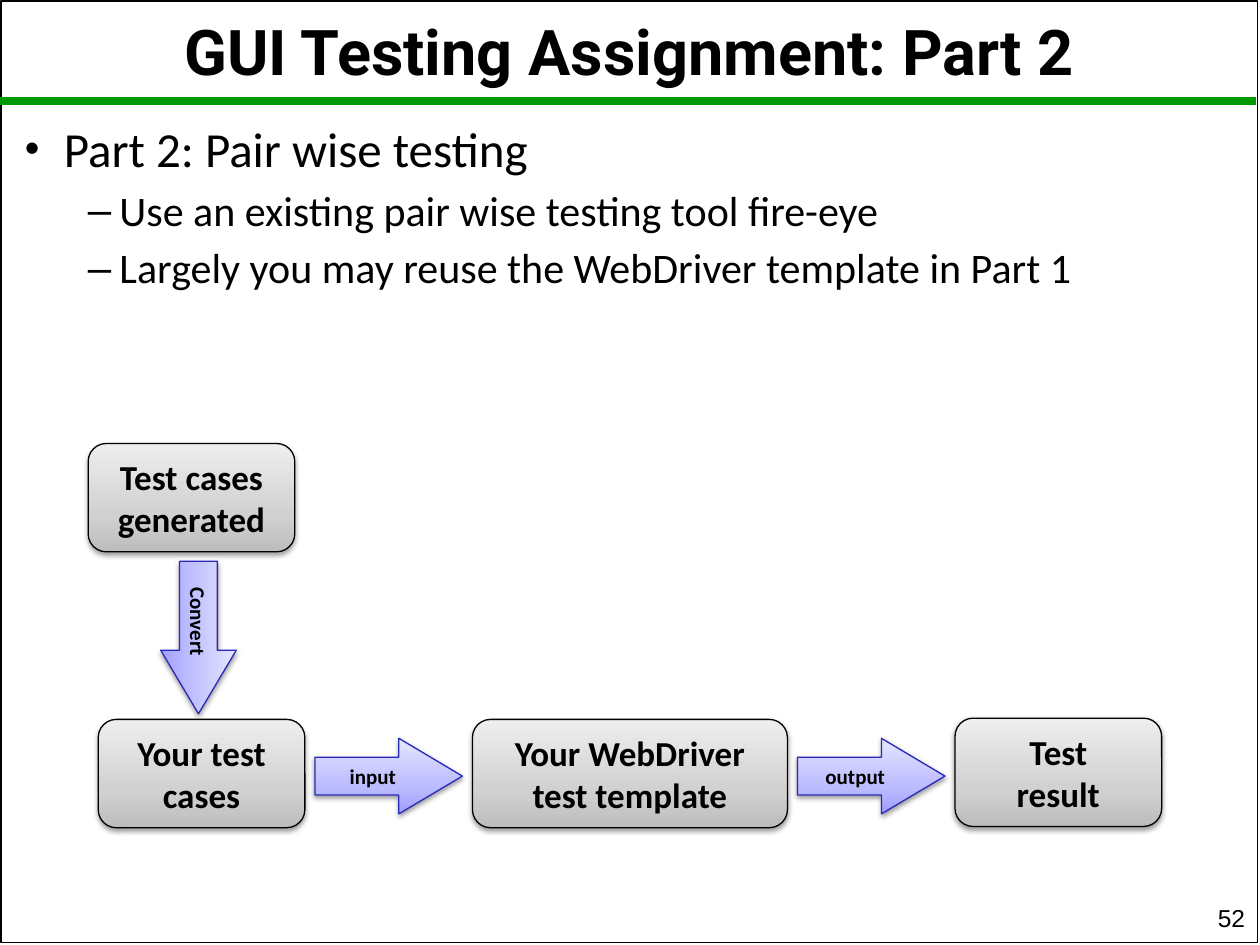
from lxml import etree
from pptx import Presentation
from pptx.dml.color import RGBColor
from pptx.enum.shapes import MSO_CONNECTOR, MSO_SHAPE
from pptx.enum.text import MSO_ANCHOR, PP_ALIGN
from pptx.oxml.ns import qn
from pptx.util import Emu, Inches, Pt

RECTANGLE = MSO_SHAPE.RECTANGLE
ROUNDED = MSO_SHAPE.ROUNDED_RECTANGLE
ARROW = MSO_SHAPE.RIGHT_ARROW
STRAIGHT = MSO_CONNECTOR.STRAIGHT
TOP, MIDDLE, BOTTOM = MSO_ANCHOR.TOP, MSO_ANCHOR.MIDDLE, MSO_ANCHOR.BOTTOM
LEFT, CENTER, RIGHT = PP_ALIGN.LEFT, PP_ALIGN.CENTER, PP_ALIGN.RIGHT

BLACK, GREEN, BLUE = "000000", "009900", "2929B8"
GRAYS = [(0, "BDBDBD"), (35, "D1D1D1"), (100, "EEEEEE")]
BLUES = [(0, "9F9FFF"), (35, "BBBBFF"), (100, "E5E5FF")]
BOX_WIDTH, BOX_HEIGHT = 1.64, 0.86
ARROW_HEIGHT = 0.6


def color(value):
    return RGBColor.from_string(value)


def add_element(parent, tag, **attributes):
    element = etree.SubElement(parent, qn(tag))
    for name, value in attributes.items():
        element.set(name, str(value))
    return element


def write_paragraph(paragraph, text, size=20, font="Calibri", bold=False,
                    align=LEFT, line_spacing=1.0, space_before=0):
    paragraph.text = text
    paragraph.alignment = align
    paragraph.line_spacing = line_spacing
    paragraph.space_before = Pt(space_before)
    paragraph.font.size = Pt(size)
    paragraph.font.name = font
    paragraph.font.bold = bold
    paragraph.font.color.rgb = color(BLACK)


def add_text_box(slide, left, top, width, height, anchor=TOP):
    box = slide.shapes.add_textbox(
        Inches(left), Inches(top), Inches(width), Inches(height))
    frame = box.text_frame
    frame.word_wrap = True
    frame.vertical_anchor = anchor
    return frame


def set_bullet(paragraph, character, margin, hanging, percent=100):
    properties = paragraph._p.get_or_add_pPr()
    properties.set("marL", str(Inches(margin)))
    properties.set("indent", str(-Inches(hanging)))
    add_element(properties, "a:buSzPct", val=percent * 1000)
    add_element(properties, "a:buFont", typeface="Arial")
    add_element(properties, "a:buChar", char=character)


def set_gradient(shape, stops):
    """Fill upwards, from the first stop at the bottom edge."""
    shape.fill.gradient()
    gradient = shape._element.spPr.find(qn("a:gradFill"))
    for child in list(gradient):
        gradient.remove(child)
    stop_list = add_element(gradient, "a:gsLst")
    for position, value in stops:
        stop = add_element(stop_list, "a:gs", pos=position * 1000)
        add_element(stop, "a:srgbClr", val=value)
    add_element(gradient, "a:lin", ang=270 * 60000, scaled=0)


def set_shadow(shape):
    shape.shadow.inherit = False
    effects = shape._element.spPr.find(qn("a:effectLst"))
    shadow = add_element(effects, "a:outerShdw", blurRad=Pt(3.1),
                         dist=Pt(1.6), dir=90 * 60000, rotWithShape=0)
    shade = add_element(shadow, "a:srgbClr", val=BLACK)
    add_element(shade, "a:alpha", val=38000)


def add_flow_shape(slide, kind, text, left, top, width, height, stops, line, size):
    shape = slide.shapes.add_shape(
        kind, Inches(left), Inches(top), Inches(width), Inches(height))
    set_gradient(shape, stops)
    shape.line.color.rgb = color(line)
    shape.line.width = Pt(0.75)
    set_shadow(shape)
    frame = shape.text_frame
    frame.word_wrap = True
    frame.vertical_anchor = MIDDLE
    for index, part in enumerate(text.split("\n")):
        paragraph = frame.add_paragraph() if index else frame.paragraphs[0]
        write_paragraph(paragraph, part, size=size, bold=True, align=CENTER)
    return shape


def add_step(slide, text, left, top, width=BOX_WIDTH):
    add_flow_shape(slide, ROUNDED, text, left, top, width, BOX_HEIGHT,
                   GRAYS, BLACK, 20)


def add_arrow(slide, text, left, top, width=1.17, rotation=0):
    arrow = add_flow_shape(slide, ARROW, text, left, top, width, ARROW_HEIGHT,
                           BLUES, BLUE, 12)
    arrow.adjustments[0] = 0.5
    arrow.adjustments[1] = 0.84
    arrow.rotation = rotation


def add_frame(slide):
    border = slide.shapes.add_shape(
        RECTANGLE, Inches(0.01), Inches(0.01), Inches(9.97), Inches(7.47))
    border.fill.background()
    border.line.color.rgb = color(BLACK)
    border.line.width = Pt(1)
    border.shadow.inherit = False
    rule = slide.shapes.add_connector(
        STRAIGHT, Emu(0), Inches(0.8), Inches(9.97), Inches(0.8))
    rule.line.color.rgb = color(GREEN)
    rule.line.width = Pt(4.5)
    add_element(rule._element.spPr, "a:effectLst")


def add_outline(slide):
    frame = add_text_box(slide, 0.1, 0.94, 9.8, 6.21)
    heading = frame.paragraphs[0]
    set_bullet(heading, "•", 0.31, 0.31, percent=85)
    write_paragraph(heading, "Part 2: Pair wise testing", size=28, line_spacing=0.9)
    for text in ("Use an existing pair wise testing tool fire-eye",
                 "Largely you may reuse the WebDriver template in Part 1"):
        paragraph = frame.add_paragraph()
        paragraph.level = 1
        set_bullet(paragraph, "–", 0.75, 0.25)
        write_paragraph(paragraph, text, size=24, line_spacing=0.9, space_before=7)


def main():
    presentation = Presentation()
    presentation.slide_width = Inches(10)
    presentation.slide_height = Inches(7.5)
    slide = presentation.slides.add_slide(presentation.slide_layouts[6])

    # Frame, title and outline
    add_frame(slide)
    title = add_text_box(slide, 0.1, 0.05, 9.79, 0.78, MIDDLE)
    write_paragraph(title.paragraphs[0], "GUI Testing Assignment: Part 2", size=36,
                    font="Roboto", bold=True, align=CENTER, line_spacing=0.9)
    add_outline(slide)

    # Test flow: generated cases lead down to the row of steps
    add_step(slide, "Test cases generated", 0.7, 3.52)
    add_arrow(slide, "Convert", 0.97, 4.76, width=1.21, rotation=90)
    add_step(slide, "Your test cases", 0.78, 5.71)
    add_arrow(slide, "input", 2.5, 5.86)
    add_step(slide, "Your WebDriver test template", 3.75, 5.71, width=2.5)
    add_arrow(slide, "output", 6.33, 5.86)
    add_step(slide, "Test\nresult", 7.58, 5.7)

    # Page number
    number = add_text_box(slide, 7.9, 7.19, 2.08, 0.26, BOTTOM)
    write_paragraph(number.paragraphs[0], "52", size=14, font="Arial", align=RIGHT)

    presentation.save("out.pptx")


if __name__ == "__main__":
    main()
